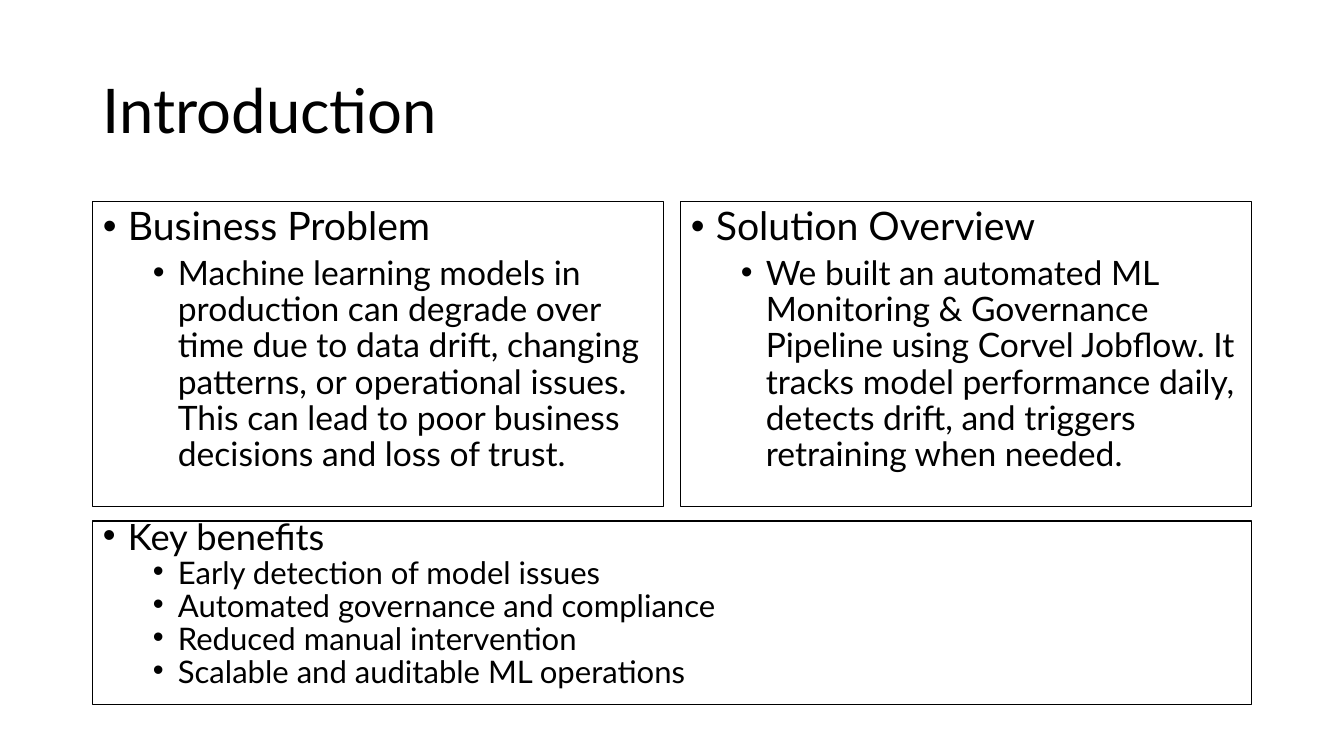
from lxml.etree import SubElement
from pptx import Presentation
from pptx.dml.color import RGBColor
from pptx.enum.shapes import MSO_SHAPE
from pptx.enum.text import MSO_ANCHOR, PP_ALIGN
from pptx.oxml.ns import qn
from pptx.util import Pt

TITLE = "Introduction"
PROBLEM = ("Business Problem", [
    "Machine learning models in production can degrade over time due to data drift, "
    "changing patterns, or operational issues. This can lead to poor business "
    "decisions and loss of trust.",
])
SOLUTION = ("Solution Overview", [
    "We built an automated ML Monitoring & Governance Pipeline using Corvel Jobflow. "
    "It tracks model performance daily, detects drift, and triggers retraining when needed.",
])
BENEFITS = ("Key benefits", [
    "Early detection of model issues",
    "Automated governance and compliance",
    "Reduced manual intervention",
    "Scalable and auditable ML operations",
])

COLORS = {"text": "000000", "line": "000000"}
FONT = "Lato"
SCALE = 914400 / 100.8
SLIDE_W, SLIDE_H = 1344, 756
LEFT, WIDTH, GAP = 93, 1159, 17
TITLE_TOP, TITLE_H = 41, 146
TOP, CARD_H = 202, 305
BOTTOM_TOP, BOTTOM_H = 521, 184
INDENT, LEVEL_STEP = 25, 50


def px(n):
    return round(n * SCALE)


def color(name):
    return RGBColor.from_string(COLORS[name])


def add_run(p, text, size):
    r = p.add_run()
    r.text = text
    r.font.name = FONT
    r.font.size = Pt(size)
    r.font.color.rgb = color("text")


def add_bullet(p, text, level, size, spacing):
    p.level = level
    p.alignment = PP_ALIGN.LEFT
    p.line_spacing = spacing
    p.space_before = Pt(5 if level else 10)
    pPr = p._p.get_or_add_pPr()
    pPr.set("marL", str(px(INDENT + level * LEVEL_STEP)))
    pPr.set("indent", str(-px(INDENT)))
    SubElement(pPr, qn("a:buFont"), typeface="Arial")
    SubElement(pPr, qn("a:buChar"), char="•")
    add_run(p, text, size)


def add_card(s, box, content, sizes, spacing):
    sp = s.shapes.add_shape(MSO_SHAPE.RECTANGLE, *map(px, box))
    sp.shadow.inherit = False
    sp.fill.background()
    sp.line.color.rgb = color("line")
    sp.line.width = Pt(0.75)
    tf = sp.text_frame
    tf.word_wrap = True
    tf.vertical_anchor = MSO_ANCHOR.TOP
    heading, points = content
    add_bullet(tf.paragraphs[0], heading, 0, sizes[0], spacing)
    for point in points:
        add_bullet(tf.add_paragraph(), point, 1, sizes[1], spacing)


def main():
    prs = Presentation()
    prs.slide_width, prs.slide_height = px(SLIDE_W), px(SLIDE_H)
    s = prs.slides.add_slide(prs.slide_layouts[6])

    title = s.shapes.add_textbox(*map(px, (LEFT, TITLE_TOP, WIDTH, TITLE_H)))
    tf = title.text_frame
    tf.word_wrap = True
    tf.vertical_anchor = MSO_ANCHOR.MIDDLE
    tf.paragraphs[0].line_spacing = 0.9
    add_run(tf.paragraphs[0], TITLE, 44)

    card_w = (WIDTH - GAP) // 2
    for i, content in enumerate((PROBLEM, SOLUTION)):
        box = (LEFT + i * (card_w + GAP), TOP, card_w, CARD_H)
        add_card(s, box, content, (28, 24), 0.9)
    add_card(s, (LEFT, BOTTOM_TOP, WIDTH, BOTTOM_H), BENEFITS, (25.9, 22.2), 0.7)

    prs.save("out.pptx")


if __name__ == "__main__":
    main()
